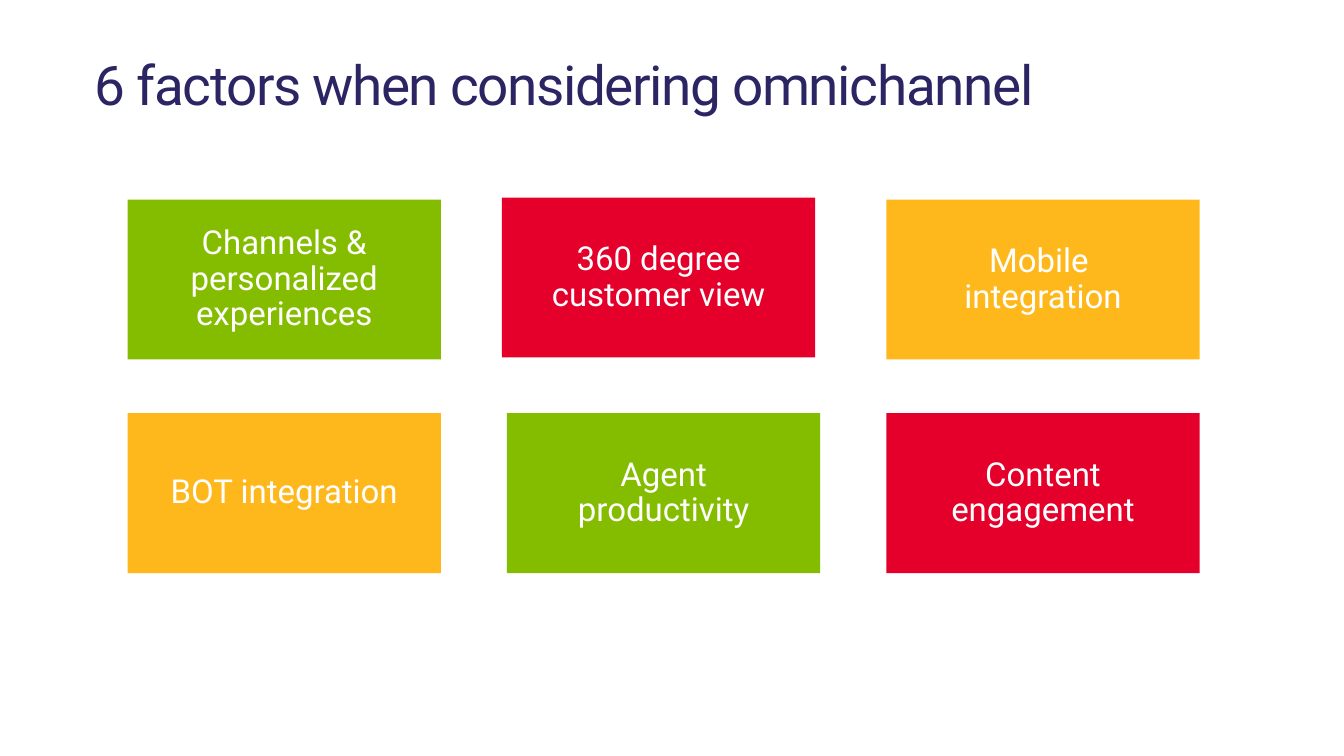
from pptx import Presentation
from pptx.dml.color import RGBColor
from pptx.enum.shapes import MSO_SHAPE
from pptx.enum.text import MSO_ANCHOR, PP_ALIGN
from pptx.util import Cm, Pt

# Content: rows of cards as (text, colour, shift right, shift down)
TITLE = "6 factors when considering omnichannel"
CARDS = [
    [
        ("Channels & personalized experiences", "green", 0, 0),
        ("360 degree customer view", "red", -0.13, -0.05),
        ("Mobile \nintegration", "amber", 0, 0),
    ],
    [
        ("BOT integration", "amber", 0, 0),
        ("Agent productivity", "green", 0, 0),
        ("Content engagement", "red", 0, 0),
    ],
]
COLORS = {
    "navy": "2B2663",
    "white": "FFFFFF",
    "green": "84BD00",
    "red": "E4002B",
    "amber": "FFB81C",
}
FONT = "Roboto"

# Card grid in centimetres
LEFT, TOP = 3.28, 5.13
WIDTH, HEIGHT = 8.05, 4.11
STEP_X, STEP_Y = 9.75, 5.49


def color(name):
    return RGBColor.from_string(COLORS[name])


def write(shape, text, size, ink, align, anchor, pad_x, pad_y):
    frame = shape.text_frame
    frame.text = text
    frame.word_wrap = True
    frame.vertical_anchor = anchor
    frame.margin_left = frame.margin_right = Cm(pad_x)
    frame.margin_top = frame.margin_bottom = Cm(pad_y)
    for para in frame.paragraphs:
        para.alignment = align
        para.line_spacing = 0.9
        for run in para.runs:
            run.font.name = FONT
            run.font.size = Pt(size)
            run.font.color.rgb = color(ink)


def add_title(slide):
    box = slide.shapes.add_textbox(Cm(2.03), Cm(1.24), Cm(30.48), Cm(1.9))
    write(box, TITLE, 40, "navy", PP_ALIGN.LEFT, MSO_ANCHOR.TOP, 0.41, 0.25)
    # Tighten the letters by one point
    run = box.text_frame.paragraphs[0].runs[0]
    run._r.get_or_add_rPr().set("spc", "-100")


def add_card(slide, row, col, text, fill, right, down):
    left = LEFT + col * STEP_X + right
    top = TOP + row * STEP_Y + down
    card = slide.shapes.add_shape(
        MSO_SHAPE.RECTANGLE, Cm(left), Cm(top), Cm(WIDTH), Cm(HEIGHT)
    )
    card.shadow.inherit = False
    card.fill.solid()
    card.fill.fore_color.rgb = color(fill)
    card.line.fill.background()
    write(card, text, 24, "white", PP_ALIGN.CENTER, MSO_ANCHOR.MIDDLE, 0.69, 0.56)


def main():
    deck = Presentation()
    deck.slide_width, deck.slide_height = Cm(34.54), Cm(19.43)
    slide = deck.slides.add_slide(deck.slide_layouts[6])

    # Heading
    add_title(slide)

    # Factor cards
    for row, cards in enumerate(CARDS):
        for col, card in enumerate(cards):
            add_card(slide, row, col, *card)

    deck.save("out.pptx")


if __name__ == "__main__":
    main()
